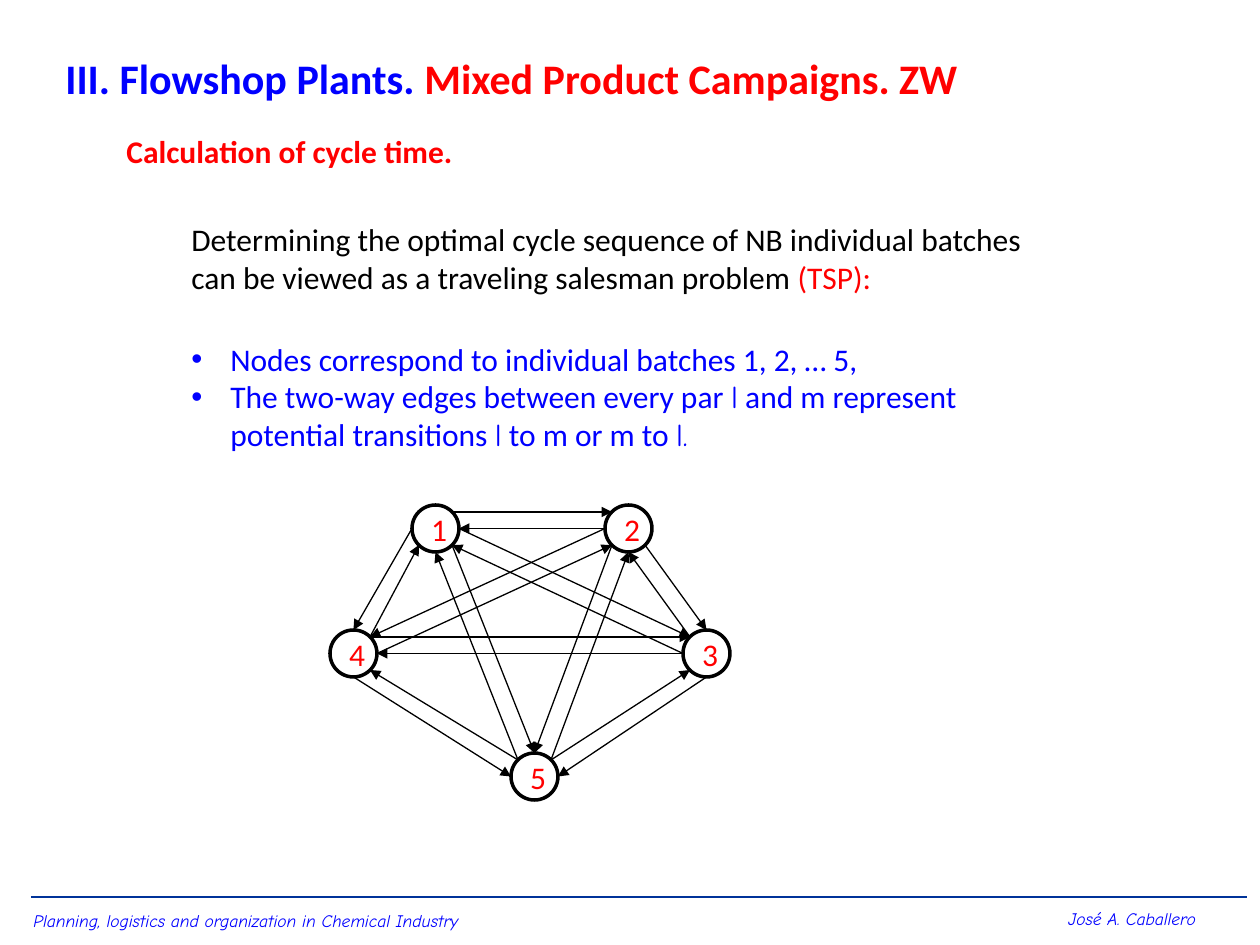
from lxml import etree
from pptx import Presentation
from pptx.dml.color import RGBColor
from pptx.enum.shapes import MSO_CONNECTOR as CONNECTOR, MSO_SHAPE as SHAPE
from pptx.enum.text import MSO_ANCHOR as ANCHOR, PP_ALIGN as ALIGN
from pptx.oxml.ns import qn
from pptx.util import Pt

PX = 914400 / 126
COLORS = {"blue": "0000FF", "red": "FF0000", "black": "000000",
          "white": "FFFFFF", "rule": "003399"}
BODY, SCRIPT = "Calibri", "Comic Neue"


def add_runs(paragraph, pieces, size, bold=False, italic=False):
    """Append (text, color, font) pieces to the paragraph."""
    for text, color, font in pieces:
        run = paragraph.add_run()
        run.text = text
        run.font.name = font
        run.font.size = Pt(size)
        run.font.bold = bold
        run.font.italic = italic
        run.font.color.rgb = RGBColor.from_string(COLORS[color])


def add_line(start, end, color, width):
    x1, y1, x2, y2 = (round(v * PX) for v in (*start, *end))
    line = slide.shapes.add_connector(CONNECTOR.STRAIGHT, x1, y1, x2, y2)
    line.line.color.rgb = RGBColor.from_string(COLORS[color])
    line.line.width = Pt(width)
    etree.SubElement(line._element.spPr, qn("a:effectLst"))
    return line


prs = Presentation()
prs.slide_width, prs.slide_height = round(1260 * PX), round(945 * PX)
slide = prs.slides.add_slide(prs.slide_layouts[6])

# Footer rule, then the one-line texts
add_line((31, 897), (1247, 897), "rule", 1.5)
captions = [
    ((1056, 902, 169, 34), 10, False, True, [("José A. Caballero", "blue", SCRIPT)]),
    ((21, 904, 490, 34), 10, False, True,
     [("Planning, logistics and organization in Chemical Industry", "blue", SCRIPT)]),
    ((114, 126, 354, 50), 18, True, False, [("Calculation of cycle time.", "red", BODY)]),
    ((53, 46, 925, 63), 24, True, False,
     [("III. Flowshop Plants. ", "blue", BODY), ("Mixed Product Campaigns. ZW", "red", BODY)]),
]
for box, size, bold, italic, pieces in captions:
    caption = slide.shapes.add_textbox(*(round(v * PX) for v in box))
    caption.text_frame.word_wrap = False
    add_runs(caption.text_frame.paragraphs[0], pieces, size, bold, italic)

# Explanation with two bullets
explanation = slide.shapes.add_textbox(*(round(v * PX) for v in (179, 214, 897, 229))).text_frame
explanation.word_wrap = True
add_runs(explanation.paragraphs[0], [
    ("Determining the optimal cycle sequence of NB individual batches "
     "can be viewed as a traveling salesman problem ", "black", BODY),
    ("(TSP):", "red", BODY)], 18)
bullets = [
    [("Nodes correspond to individual batches 1, 2, … 5,", "blue", BODY)],
    [("The two-way edges between every par ", "blue", BODY), ("l", "blue", SCRIPT),
     (" and m represent potential transitions ", "blue", BODY), ("l", "blue", SCRIPT),
     (" to m or m to ", "blue", BODY), ("l.", "blue", SCRIPT)],
]
for index, pieces in enumerate(bullets):
    bullet = explanation.add_paragraph()
    if index == 0:
        bullet.space_before = Pt(25)
    add_runs(bullet, pieces, 18)
    props = bullet._p.get_or_add_pPr()
    indent = round(39 * PX)
    props.set("marL", str(indent))
    props.set("indent", str(-indent))
    etree.SubElement(props, qn("a:buFont"), typeface="Arial")
    etree.SubElement(props, qn("a:buChar"), char="•")

# Batch nodes: left and top of each circle
NODE = 47
nodes = {1: (412, 505), 2: (605, 505), 3: (683, 630), 4: (330, 630), 5: (511, 753)}
for batch, (left, top) in nodes.items():
    circle = slide.shapes.add_shape(
        SHAPE.OVAL, *(round(v * PX) for v in (left, top, NODE, NODE)))
    circle.shadow.inherit = False
    circle.fill.solid()
    circle.fill.fore_color.rgb = RGBColor.from_string(COLORS["white"])
    circle.line.color.rgb = RGBColor.from_string(COLORS["black"])
    circle.line.width = Pt(2)
    circle.text_frame.vertical_anchor = ANCHOR.MIDDLE
    label = circle.text_frame.paragraphs[0]
    label.alignment = ALIGN.CENTER
    add_runs(label, [(str(batch), "red", BODY)], 18)

# Transitions run between compass points on the circles
NEAR, MID, FAR = 7, NODE / 2, NODE - 7
ports = {"N": (MID, 0), "NE": (FAR, NEAR), "E": (NODE, MID), "SE": (FAR, FAR),
         "S": (MID, NODE), "SW": (NEAR, FAR), "W": (0, MID), "NW": (NEAR, NEAR)}
transitions = [
    (1, "W", 4, "N"), (4, "NE", 1, "SW"), (1, "NE", 2, "NW"), (2, "W", 1, "E"),
    (2, "SE", 3, "N"), (3, "NW", 2, "S"), (4, "S", 5, "W"), (5, "NW", 4, "SE"),
    (5, "NE", 3, "SW"), (3, "S", 5, "E"), (1, "E", 3, "NW"), (3, "W", 1, "SE"),
    (1, "SE", 5, "N"), (5, "NW", 1, "S"), (2, "W", 4, "NE"), (4, "E", 2, "SW"),
    (2, "SW", 5, "N"), (5, "NE", 2, "S"), (4, "NE", 3, "NW"), (3, "W", 4, "E"),
]
for source, exit_port, target, entry_port in transitions:
    start, end = ([a + b for a, b in zip(nodes[node], ports[port])]
                  for node, port in ((source, exit_port), (target, entry_port)))
    arrow = add_line(start, end, "black", 0.75)
    etree.SubElement(arrow.line._get_or_add_ln(), qn("a:tailEnd"), type="triangle")

prs.save("out.pptx")
